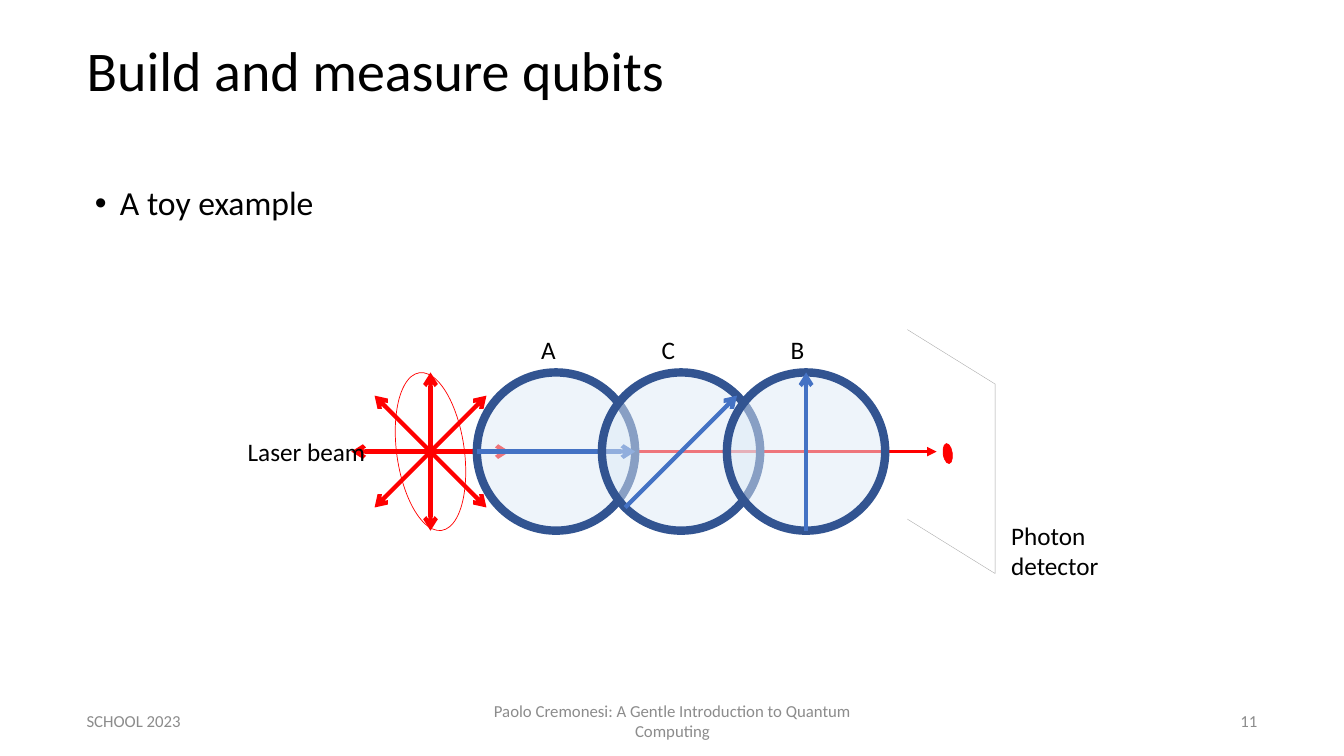
from lxml import etree
from pptx import Presentation
from pptx.dml.color import RGBColor
from pptx.enum import shapes as kinds, text as txt
from pptx.oxml import ns
from pptx.util import Inches, Pt

RED, BLUE, BLACK, GREY = "FF0000", "4472C4", "000000", "8C8C8C"
LEFT, CENTER, RIGHT = txt.PP_ALIGN.LEFT, txt.PP_ALIGN.CENTER, txt.PP_ALIGN.RIGHT
TOP, MIDDLE = txt.MSO_ANCHOR.TOP, txt.MSO_ANCHOR.MIDDLE
AXIS_Y = 4.48      # height of the beam
RADIUS = 0.785     # of the polarizers and of the laser's arrows
DIAGONAL = 0.555   # RADIUS projected at 45 degrees

prs = Presentation()
prs.slide_width, prs.slide_height = Inches(13.33), Inches(7.5)
slide = prs.slides.add_slide(prs.slide_layouts[1])


def write(box, place, words, size, color=BLACK, align=LEFT, anchor=TOP):
    box.left, box.top, box.width, box.height = (Inches(v) for v in place)
    frame = box.text_frame
    frame.text = words
    frame.word_wrap = True
    frame.auto_size = txt.MSO_AUTO_SIZE.NONE
    frame.vertical_anchor = anchor
    paragraph = frame.paragraphs[0]
    paragraph.alignment = align
    paragraph.font.name, paragraph.font.size = "Calibri", Pt(size)
    paragraph.font.color.rgb = RGBColor.from_string(color)
    return paragraph


def arrow(start, end, color, width, **heads):
    line = slide.shapes.add_connector(
        kinds.MSO_CONNECTOR.STRAIGHT, *(Inches(v) for v in start + end))
    line.line.color.rgb = RGBColor.from_string(color)
    line.line.width = Pt(width)
    for end_tag, head in heads.items():
        etree.SubElement(line.line._get_or_add_ln(), ns.qn("a:" + end_tag), type=head)
    etree.SubElement(line._element.spPr, ns.qn("a:effectLst"))


# Title and list
title = write(slide.shapes.title, (0.76, 0, 11.8, 1.45), "Build and measure qubits",
              40, anchor=MIDDLE)
title.line_spacing = 0.9
bullet = write(slide.placeholders[1], (0.84, 1.8, 11.5, 0.7), "A toy example", 24)
bullet.line_spacing, bullet.space_before = 0.9, Pt(10)
bullet_props = bullet._p.get_or_add_pPr()
bullet_props.set("marL", str(Inches(0.25)))
bullet_props.set("indent", str(Inches(-0.25)))
etree.SubElement(bullet_props, ns.qn("a:buFont"), typeface="Arial")
etree.SubElement(bullet_props, ns.qn("a:buChar"), char="•")

# Detector screen in perspective, open on its left side
outline = slide.shapes.build_freeform(Inches(9), Inches(3.27))
outline.add_line_segments(
    [(Inches(x), Inches(y)) for x, y in ((9.87, 3.81), (9.87, 5.69), (9, 5.15))], close=False)
screen = outline.convert_to_shape()
screen.shadow.inherit = False
screen.fill.solid()
screen.fill.fore_color.rgb = RGBColor.from_string("FFFFFF")
screen.line.color.rgb = RGBColor.from_string("A6A6A6")
screen.line.width = Pt(0.25)

# Beam
arrow((4.28, AXIS_Y), (9.29, AXIS_Y), RED, 2.25, tailEnd="triangle")

# Tilted ellipses: the unpolarized wavefront and the spot on the screen
for x, y, width, height, filled in ((4.27, AXIS_Y, 0.67, 1.58, False),
                                    (9.4, 4.5, 0.09, 0.2, True)):
    ellipse = slide.shapes.add_shape(
        kinds.MSO_SHAPE.OVAL, Inches(x - width / 2), Inches(y - height / 2),
        Inches(width), Inches(height))
    ellipse.rotation = -8
    ellipse.shadow.inherit = False
    if filled:
        ellipse.fill.solid()
        ellipse.fill.fore_color.rgb = RGBColor.from_string(RED)
    else:
        ellipse.fill.background()
    ellipse.line.color.rgb = RGBColor.from_string(RED)
    ellipse.line.width = Pt(0.5)

# Laser: polarized in every direction
for dx, dy in ((0, -RADIUS), (RADIUS, 0), (DIAGONAL, DIAGONAL), (DIAGONAL, -DIAGONAL)):
    arrow((4.27 - dx, AXIS_Y - dy), (4.27 + dx, AXIS_Y + dy), RED, 3,
          headEnd="arrow", tailEnd="arrow")

# Polarizers, each with its direction and its label
for name, x, dx, dy, label_left in (("A", 5.515, RADIUS, 0, 5.21),
                                    ("C", 6.755, DIAGONAL, -DIAGONAL, 6.4),
                                    ("B", 7.995, 0, -RADIUS, 7.68)):
    polarizer = slide.shapes.add_shape(
        kinds.MSO_SHAPE.OVAL, Inches(x - RADIUS), Inches(AXIS_Y - RADIUS),
        Inches(2 * RADIUS), Inches(2 * RADIUS))
    polarizer.shadow.inherit = False
    polarizer.fill.solid()
    polarizer.fill.fore_color.rgb = RGBColor.from_string("DEEBF7")
    glass = polarizer._element.spPr.find(".//" + ns.qn("a:srgbClr"))
    etree.SubElement(glass, ns.qn("a:alpha"), val="50000")
    polarizer.line.color.rgb = RGBColor.from_string("325491")
    polarizer.line.width = Pt(6)
    arrow((x - dx, AXIS_Y - dy), (x + dx, AXIS_Y + dy), BLUE, 3, tailEnd="arrow")
    write(slide.shapes.add_textbox(0, 0, 0, 0), (label_left, 3.27, 0.46, 0.4),
          name, 18, align=CENTER)

# Captions and footer
for place, words, size, color, align, anchor in (
        ((2.17, 4.28, 1.55, 0.4), "Laser beam", 18, BLACK, RIGHT, TOP),
        ((9.93, 5.11, 1.15, 0.71), "Photon detector", 18, BLACK, LEFT, TOP),
        ((0.76, 6.95, 3.15, 0.4), "SCHOOL 2023", 12, GREY, LEFT, MIDDLE),
        ((4.42, 6.95, 4.5, 0.4), "Paolo Cremonesi: A Gentle Introduction to Quantum Computing",
         12, GREY, CENTER, MIDDLE),
        ((9.42, 6.95, 3.15, 0.4), "11", 12, GREY, RIGHT, MIDDLE)):
    write(slide.shapes.add_textbox(0, 0, 0, 0), place, words, size, color, align, anchor)

prs.save("out.pptx")
